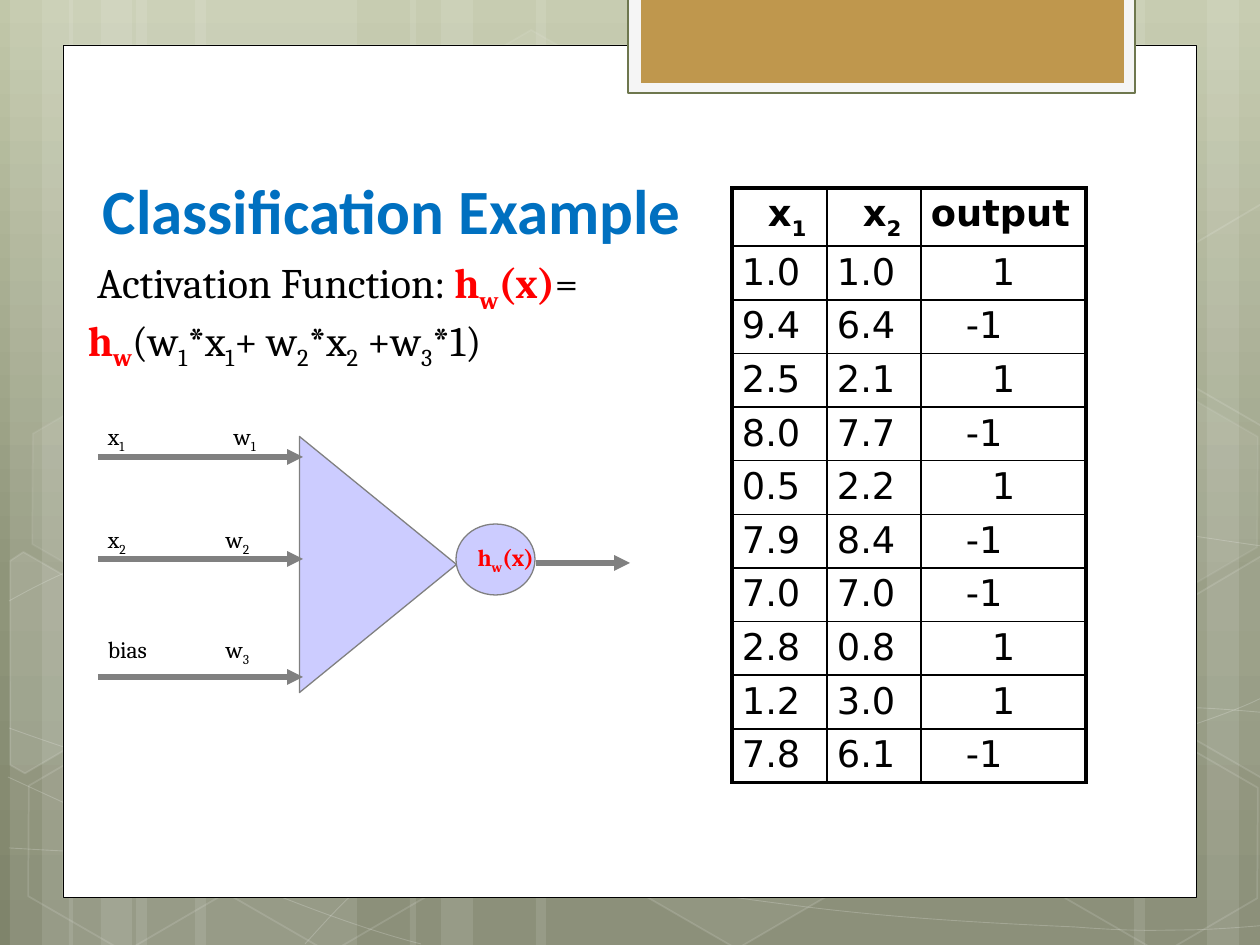
from copy import deepcopy
from itertools import chain
from typing import NamedTuple, Optional

from lxml.etree import SubElement
from pptx import Presentation
from pptx.dml.color import RGBColor
from pptx.enum.shapes import MSO_CONNECTOR, MSO_SHAPE
from pptx.enum.text import MSO_ANCHOR, PP_ALIGN
from pptx.oxml.ns import qn
from pptx.util import Pt

PX = 914400 / 126
WHITE = RGBColor(0xFF, 0xFF, 0xFF)
BLACK = RGBColor(0, 0, 0)
RED = RGBColor(0xFF, 0, 0)
BLUE = RGBColor(0, 0x70, 0xC0)
GRAY = RGBColor(0x80, 0x80, 0x80)
LILAC = RGBColor(0xCC, 0xCC, 0xFF)
OLIVE = RGBColor(0x6E, 0x77, 0x4E)
SMOKE = RGBColor(0xF5, 0xF5, 0xF5)
GOLD = RGBColor(0xBF, 0x97, 0x4D)
BACKDROP = [(0, RGBColor(0xC1, 0xC7, 0xA9)), (0.62, RGBColor(0x8F, 0x95, 0x7A)),
            (1, RGBColor(0x7F, 0x84, 0x6B))]


class Box(NamedTuple):
    x: int
    y: int
    w: int
    h: int


class Run(NamedTuple):
    text: str
    sub: bool = False
    bold: bool = False
    color: RGBColor = BLACK


class Hexagon(NamedTuple):
    x: int
    y: int
    fill_alpha: int
    line_alpha: int


class CutHexagon(NamedTuple):
    points: list
    fill_alpha: int


class Label(NamedTuple):
    x: int
    y: int
    text: str
    sub: str = ""


BANDS = [(136, 221), (10, 63), (42, 105), (195, 221), (69, 63), (101, 105),
         (924, 221), (1207, 63), (1134, 105), (536, 388), (410, 63), (441, 105)]
# Each curve: a start point, then cubic segments of two controls and an end.
CURVES = [
    [(9, 848), (77, 852, 145, 856, 239, 854), (334, 853, 451, 851, 577, 838),
     (703, 825, 882, 801, 998, 777), (1113, 753, 1231, 716, 1269, 694)],
    [(9, 601), (45, 581, 82, 562, 152, 543), (224, 524, 326, 496, 437, 488),
     (549, 479, 685, 478, 824, 488), (963, 498, 1193, 537, 1269, 547)],
    [(8, 777), (160, 847, 311, 916, 421, 944)],
    [(9, 728), (48, 742, 88, 756, 161, 776), (234, 795, 344, 827, 450, 848),
     (554, 869, 687, 892, 791, 905), (896, 919, 1008, 924, 1075, 927),
     (1140, 932, 1158, 930, 1191, 930), (1223, 929, 1246, 927, 1269, 925)],
    [(305, 944), (328, 919, 350, 893, 381, 871), (411, 848, 454, 823, 489, 805),
     (524, 788, 546, 780, 592, 767), (638, 755, 722, 737, 766, 728),
     (811, 719, 818, 719, 857, 717), (896, 714, 958, 709, 1000, 708),
     (1045, 707, 1116, 708, 1201, 708), (1223, 709, 1245, 711, 1268, 713)],
]
HEXAGONS = [Hexagon(421, 45, 4, 8), Hexagon(626, 742, 6, 12), Hexagon(14, 745, 0, 12),
            Hexagon(18, 393, 7, 8), Hexagon(219, 746, 0, 12), Hexagon(949, 571, 10, 12),
            Hexagon(1051, 747, 0, 12), Hexagon(1051, 396, 7, 8)]
RIGHT_CUT = [(1155, 655), (1209, 559), (1221, 559), (1326, 741), (1321, 751), (1210, 751)]
# Points before the hexagon is turned.
CUT_HEXAGONS = [
    CutHexagon([(-42, 593), (-35, 579), (77, 579), (131, 675), (77, 770), (60, 770)], 10),
    CutHexagon(RIGHT_CUT, 4),
    CutHexagon([(x, y - 352) for x, y in RIGHT_CUT], 0),
]
SAMPLES = [("1.0", "1.0", "1"), ("9.4", "6.4", "-1"), ("2.5", "2.1", "1"),
           ("8.0", "7.7", "-1"), ("0.5", "2.2", "1"), ("7.9", "8.4", "-1"),
           ("7.0", "7.0", "-1"), ("2.8", "0.8", "1"), ("1.2", "3.0", "1"),
           ("7.8", "6.1", "-1")]
ACTIVATION = [Run("h", bold=True, color=RED), Run("w", True, True, RED)]
ARGUMENT = Run("(x)", bold=True, color=RED)
FORMULA = [Run(" Activation Function: "), *ACTIVATION, ARGUMENT, Run("= "), *ACTIVATION,
           Run("(w"), Run("1", True), Run("*x"), Run("1", True),
           Run("+ w"), Run("2", True), Run("*x"), Run("2", True),
           Run(" +w"), Run("3", True), Run("*1)")]
LABELS = [Label(98, 417, "x", "1"), Label(98, 520, "x", "2"), Label(98, 630, "bias"),
          Label(224, 417, "w", "1"), Label(216, 520, "w", "2"), Label(216, 630, "w", "3")]
ARROWS = [(98, 457, 303), (98, 677, 303), (98, 559, 303), (536, 563, 630)]


def emu(px: float) -> int:
    return round(px * PX)


def paint(sp, fill: Optional[RGBColor], line: Optional[RGBColor] = None, width: float = 1,
          fill_alpha: int = 100, line_alpha: int = 100) -> None:
    """Set fill, line and their opacity in percent."""
    sp.shadow.inherit = False
    for fmt, color, alpha, where in ((sp.fill, fill, fill_alpha, "./a:solidFill/a:srgbClr"),
                                     (sp.line.fill, line, line_alpha,
                                      "./a:ln/a:solidFill/a:srgbClr")):
        if color is None or alpha == 0:
            fmt.background()
            continue
        fmt.solid()
        fmt.fore_color.rgb = color
        if alpha < 100:
            for clr in sp._element.spPr.xpath(where):
                SubElement(clr, qn("a:alpha"), val=str(alpha * 1000))
    if line is not None:
        sp.line.width = Pt(width)


def add_preset(s, kind, box: Box, *style, **alphas):
    sp = s.shapes.add_shape(kind, *map(emu, box))
    paint(sp, *style, **alphas)
    return sp


def add_outline(s, points: list, closed: bool):
    fb = s.shapes.build_freeform(*points[0], scale=PX)
    fb.add_line_segments(points[1:], close=closed)
    return fb.convert_to_shape()


def add_curve(s, curve: list):
    """Draw the control polygon, then turn every three lines into one cubic."""
    numbers = list(chain.from_iterable(curve))
    sp = add_outline(s, list(zip(numbers[::2], numbers[1::2])), False)
    lines = sp._element.xpath(".//a:lnTo")
    outline = lines[0].getparent()
    for i in range(0, len(lines), 3):
        cubic = SubElement(outline, qn("a:cubicBezTo"))
        for line in lines[i:i + 3]:
            cubic.append(line[0])
            outline.remove(line)
    return sp


def add_runs(p, runs: list, font: str, size: float) -> None:
    for run in runs:
        r = p.add_run()
        r.text = run.text
        r.font.name, r.font.size, r.font.bold = font, Pt(size), run.bold
        r.font.color.rgb = run.color
        if run.sub:
            r.font._element.set("baseline", "-25000")


def set_margins(tf, side: int = 10) -> None:
    tf.margin_left = tf.margin_right = emu(side)
    tf.margin_top = tf.margin_bottom = emu(5)


def add_text(s, box: Box, runs: list, font: str, size: float,
             anchor=MSO_ANCHOR.TOP, side: int = 10) -> None:
    tf = s.shapes.add_textbox(*map(emu, box)).text_frame
    tf.word_wrap, tf.vertical_anchor = True, anchor
    set_margins(tf, side)
    add_runs(tf.paragraphs[0], runs, font, size)


def add_arrow(s, x1: int, y: int, x2: int) -> None:
    c = s.shapes.add_connector(MSO_CONNECTOR.STRAIGHT, *map(emu, (x1, y, x2, y)))
    c.line.color.rgb, c.line.width = GRAY, Pt(3)
    SubElement(c.line._get_or_add_ln(), qn("a:tailEnd"), type="triangle")
    SubElement(c._element.spPr, qn("a:effectLst"))


def set_borders(cell, widths: dict) -> None:
    tcPr = cell._tc.get_or_add_tcPr()
    for i, (side, width) in enumerate(widths.items()):
        ln = SubElement(tcPr, qn(f"a:ln{side}"), w=str(Pt(width)))
        SubElement(SubElement(ln, qn("a:solidFill")), qn("a:srgbClr"), val=str(BLACK))
        tcPr.insert(i, ln)


def add_samples(s) -> None:
    heads = [[Run("x", bold=True), Run("1", True, True)],
             [Run("x", bold=True), Run("2", True, True)], [Run("output", bold=True)]]
    rows = [heads] + [[[Run(v)] for v in sample] for sample in SAMPLES]
    table = s.shapes.add_table(len(rows), 3, *map(emu, (732, 188, 354, 590))).table
    for col, width in zip(table.columns, (95, 94, 165)):
        col.width = emu(width)
    for i, row in enumerate(rows):
        for j, runs in enumerate(row):
            cell = table.cell(i, j)
            cell.fill.background()
            set_margins(cell)
            p = cell.text_frame.paragraphs[0]
            add_runs(p, runs, "DejaVu Sans", 21)
            if runs[0].text == "x":
                cell.margin_left = emu(36)
            elif runs[0].text == "-1":
                cell.margin_left = emu(45)
            elif j == 2 and i > 0:
                p.alignment = PP_ALIGN.CENTER
            outer = {"L": j == 0, "R": j == 2, "T": i == 0, "B": i == len(rows) - 1}
            set_borders(cell, {side: 2.25 if edge else 1 for side, edge in outer.items()})


def add_backdrop(s) -> None:
    fill = s.background.fill
    fill.gradient()
    fill.gradient_angle = 270
    gs_list = s._element.xpath(".//p:bg//a:gsLst")[0]
    gs_list.append(deepcopy(gs_list[-1]))
    for stop, (position, color) in zip(fill.gradient_stops, BACKDROP):
        stop.position, stop.color.rgb = position, color
    for x, w in BANDS:
        add_preset(s, MSO_SHAPE.RECTANGLE, Box(x, 0, w, 945), WHITE, fill_alpha=10)
    for curve in CURVES:
        paint(add_curve(s, curve), None, WHITE, 0.5, line_alpha=20)
    for x, y, fill_alpha, line_alpha in HEXAGONS:
        sp = add_preset(s, MSO_SHAPE.HEXAGON, Box(x, y, 221, 192), WHITE, WHITE,
                        fill_alpha=fill_alpha, line_alpha=line_alpha)
        sp.adjustments[0], sp.rotation = 0.285, 30
    for points, fill_alpha in CUT_HEXAGONS:
        sp = add_outline(s, points, True)
        paint(sp, WHITE, WHITE, 1, fill_alpha, 12)
        sp.rotation = 30
    add_preset(s, MSO_SHAPE.RECTANGLE, Box(63, 45, 1134, 853), WHITE, BLACK, 0.5)
    add_preset(s, MSO_SHAPE.RECTANGLE, Box(628, -3, 507, 96), SMOKE, OLIVE, 1.25)
    add_preset(s, MSO_SHAPE.RECTANGLE, Box(641, -3, 483, 86), GOLD)


def add_neuron(s) -> None:
    sp = add_preset(s, MSO_SHAPE.ISOSCELES_TRIANGLE, Box(250, 486, 256, 157), LILAC, GRAY, 0.75)
    sp.rotation = 90
    for arrow in ARROWS:
        add_arrow(s, *arrow)
    for x, y, text, sub in LABELS:
        runs = [Run(text)] + ([Run(sub, True)] if sub else [])
        add_text(s, Box(x, y, 98 if text == "bias" else 63, 38), runs, "Cambria", 13.5)
    sp = add_preset(s, MSO_SHAPE.OVAL, Box(456, 524, 79, 71), LILAC, GRAY, 0.75)
    tf = sp.text_frame
    tf.word_wrap, tf.vertical_anchor = False, MSO_ANCHOR.MIDDLE
    set_margins(tf)
    tf.paragraphs[0].alignment = PP_ALIGN.LEFT
    add_runs(tf.paragraphs[0], [*ACTIVATION, ARGUMENT], "Cambria", 13.5)


def main() -> None:
    prs = Presentation()
    prs.slide_width, prs.slide_height = emu(1260), emu(945)
    s = prs.slides.add_slide(prs.slide_layouts[6])
    add_backdrop(s)
    add_samples(s)
    add_text(s, Box(94, 141, 622, 111), [Run("Classification Example", bold=True, color=BLUE)],
             "Calibri", 36, MSO_ANCHOR.BOTTOM, 9)
    add_text(s, Box(78, 252, 654, 111), FORMULA, "Cambria", 24)
    add_neuron(s)
    prs.save("out.pptx")


if __name__ == "__main__":
    main()
